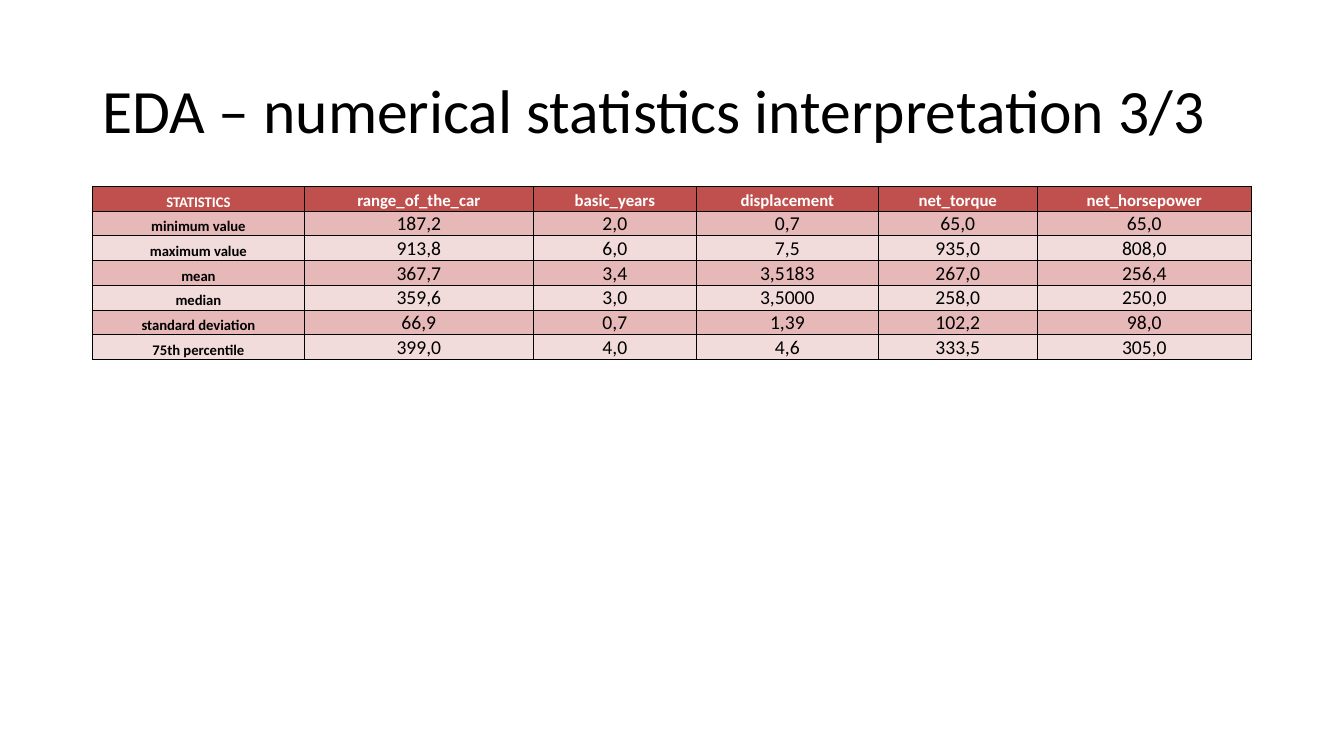
from dataclasses import dataclass

from lxml.etree import SubElement
from pptx import Presentation
from pptx.dml.color import RGBColor
from pptx.enum.text import MSO_ANCHOR, PP_ALIGN
from pptx.oxml.ns import qn
from pptx.util import Pt


@dataclass(frozen=True)
class Theme:
    font: str = "Calibri"
    ink: str = "000000"
    header_ink: str = "FFFFFF"
    header_fill: str = "C0504D"
    bands: tuple = ("E6B8B7", "F2DCDB")
    border_width: float = 0.5
    title_size: float = 44
    label_size: float = 10.5
    header_size: float = 12
    value_size: float = 14


@dataclass(frozen=True)
class Box:
    left: float
    top: float
    width: float
    height: float

    def lengths(self):
        return Pt(self.left), Pt(self.top), Pt(self.width), Pt(self.height)


THEME = Theme()
COLUMN_WIDTHS = (151.5, 163.5, 116.5, 130, 113.5, 153)
STATISTICS = (
    ("STATISTICS", "range_of_the_car", "basic_years", "displacement", "net_torque", "net_horsepower"),
    ("minimum value", "187,2", "2,0", "0,7", "65,0", "65,0"),
    ("maximum value", "913,8", "6,0", "7,5", "935,0", "808,0"),
    ("mean", "367,7", "3,4", "3,5183", "267,0", "256,4"),
    ("median", "359,6", "3,0", "3,5000", "258,0", "250,0"),
    ("standard deviation", "66,9", "0,7", "1,39", "102,2", "98,0"),
    ("75th percentile", "399,0", "4,0", "4,6", "333,5", "305,0"),
)


def style_paragraph(para, size, color, bold=False):
    para.font.name = THEME.font
    para.font.size = Pt(size)
    para.font.bold = bold
    para.font.color.rgb = RGBColor.from_string(color)


def add_title(page, box, text):
    frame = page.shapes.add_textbox(*box.lengths()).text_frame
    frame.word_wrap = True
    frame.vertical_anchor = MSO_ANCHOR.MIDDLE
    para = frame.paragraphs[0]
    para.text = text
    para.line_spacing = 0.9
    style_paragraph(para, THEME.title_size, THEME.ink)


def add_borders(cell):
    properties = cell._tc.get_or_add_tcPr()
    for side in ("a:lnL", "a:lnR", "a:lnT", "a:lnB"):
        line = SubElement(properties, qn(side), w=str(Pt(THEME.border_width)))
        fill = SubElement(line, qn("a:solidFill"))
        SubElement(fill, qn("a:srgbClr"), val=THEME.ink)


def fill_cell(cell, text, row, column):
    is_header, is_label = row == 0, column == 0
    add_borders(cell)
    cell.fill.solid()
    band = THEME.header_fill if is_header else THEME.bands[(row - 1) % 2]
    cell.fill.fore_color.rgb = RGBColor.from_string(band)
    cell.margin_left = cell.margin_right = cell.margin_top = Pt(0.75)
    cell.margin_bottom = Pt(0)
    cell.vertical_anchor = MSO_ANCHOR.BOTTOM
    para = cell.text_frame.paragraphs[0]
    para.text = text
    para.alignment = PP_ALIGN.CENTER
    if is_label:
        size = THEME.label_size
    else:
        size = THEME.header_size if is_header else THEME.value_size
    color = THEME.header_ink if is_header else THEME.ink
    style_paragraph(para, size, color, is_header or is_label)


def add_statistics_table(page, box, records):
    table = page.shapes.add_table(len(records), len(COLUMN_WIDTHS), *box.lengths()).table
    for column, width in zip(table.columns, COLUMN_WIDTHS):
        column.width = Pt(box.width * width / sum(COLUMN_WIDTHS))
    for row_index, record in enumerate(records):
        table.rows[row_index].height = Pt(box.height / len(records))
        for column_index, text in enumerate(record):
            fill_cell(table.cell(row_index, column_index), text, row_index, column_index)


def main():
    deck = Presentation()
    deck.slide_width, deck.slide_height = Pt(960), Pt(540)
    page = deck.slides.add_slide(deck.slide_layouts[6])
    add_title(page, Box(66, 28.75, 828, 104.4), "EDA – numerical statistics interpretation 3/3")
    add_statistics_table(page, Box(66, 133.15, 828, 123.5), STATISTICS)
    deck.save("out.pptx")


if __name__ == "__main__":
    main()
